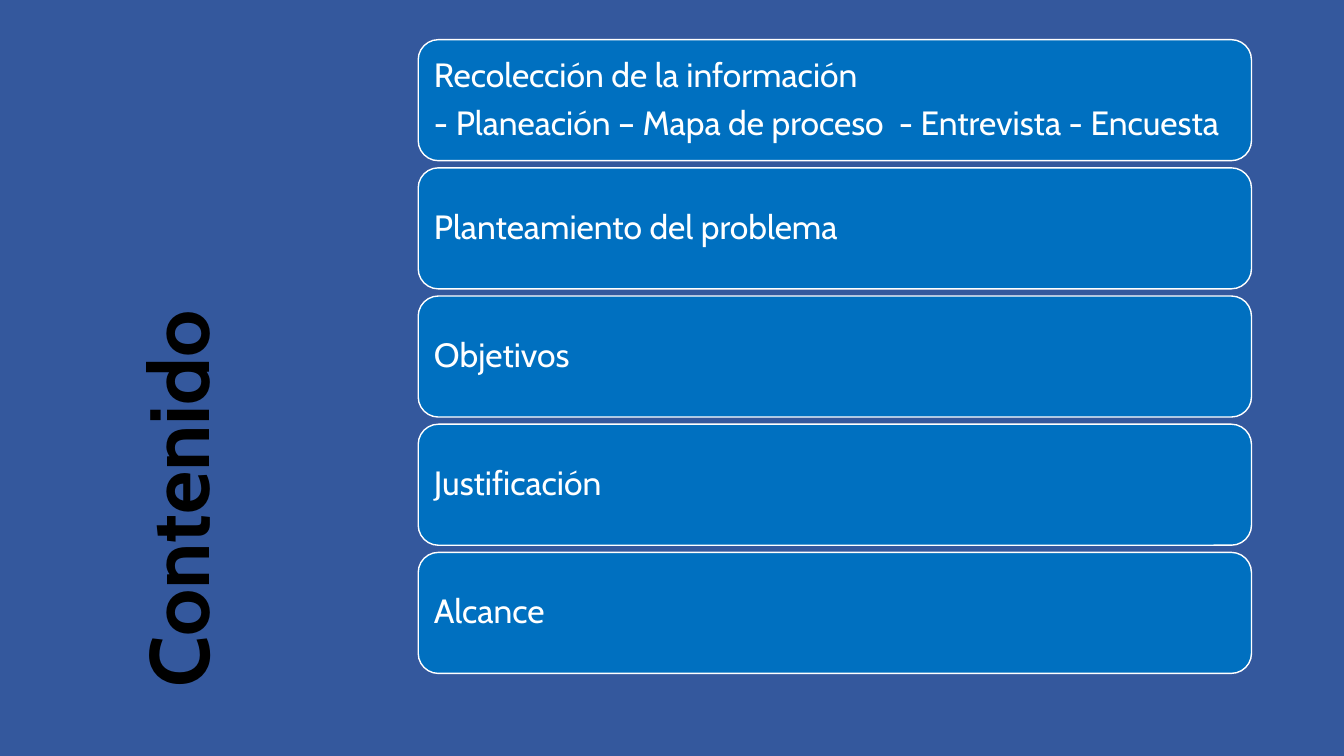
from dataclasses import dataclass

import pptx
import pptx.dml.color
import pptx.enum.shapes
import pptx.enum.text
import pptx.shapes.autoshape
import pptx.slide
import pptx.text.text
import pptx.util

Cm = pptx.util.Cm
Pt = pptx.util.Pt
RGBColor = pptx.dml.color.RGBColor


@dataclass(frozen=True)
class Theme:
    font: str = "Cabin"
    background: RGBColor = RGBColor(0x34, 0x58, 0x9D)
    card: RGBColor = RGBColor(0x00, 0x70, 0xC0)
    light: RGBColor = RGBColor(0xFF, 0xFF, 0xFF)
    title: RGBColor = RGBColor(0x00, 0x00, 0x00)
    title_size: int = 60
    topic_size: int = 24
    topic_gap: float = 8.4
    line_spacing: float = 0.9


@dataclass(frozen=True)
class Topic:
    lines: tuple[str, ...]


THEME = Theme()
TOPICS = (
    Topic((
        "Recolección de la información",
        "- Planeación – Mapa de proceso  - Entrevista - Encuesta",
    )),
    Topic(("Planteamiento del problema",)),
    Topic(("Objetivos",)),
    Topic(("Justificación",)),
    Topic(("Alcance",)),
)
CARD_LEFT, CARD_TOP = 10.54, 1.0
CARD_WIDTH, CARD_HEIGHT = 21.0, 3.05
CARD_PITCH = 3.23


def write_lines(
    frame: pptx.text.text.TextFrame,
    lines: tuple[str, ...],
    size: int,
    color: RGBColor,
    bold: bool = False,
    gap: float = 0,
) -> None:
    frame.word_wrap = True
    frame.vertical_anchor = pptx.enum.text.MSO_ANCHOR.MIDDLE
    frame.text = "\n".join(lines)
    for paragraph in frame.paragraphs:
        paragraph.alignment = pptx.enum.text.PP_ALIGN.LEFT
        paragraph.line_spacing = THEME.line_spacing
        paragraph.space_after = Pt(gap)
        paragraph.font.name = THEME.font
        paragraph.font.size = Pt(size)
        paragraph.font.bold = bold
        paragraph.font.color.rgb = color


def add_title(slide: pptx.slide.Slide, text: str) -> None:
    """Add the title, turned to read upwards along the left side."""
    box = slide.shapes.add_textbox(Cm(-3.68), Cm(5.41), Cm(16.56), Cm(7.75))
    box.rotation = 270
    write_lines(box.text_frame, (text,), THEME.title_size, THEME.title, bold=True)


def add_topic_card(slide: pptx.slide.Slide, topic: Topic, top: float) -> None:
    card = slide.shapes.add_shape(
        pptx.enum.shapes.MSO_SHAPE.ROUNDED_RECTANGLE,
        Cm(CARD_LEFT), Cm(top), Cm(CARD_WIDTH), Cm(CARD_HEIGHT),
    )
    card.shadow.inherit = False
    card.fill.solid()
    card.fill.fore_color.rgb = THEME.card
    card.line.color.rgb = THEME.light
    card.line.width = Pt(1)
    frame = card.text_frame
    frame.margin_left = frame.margin_right = Cm(0.25)
    frame.margin_top = frame.margin_bottom = Cm(0.25)
    write_lines(frame, topic.lines, THEME.topic_size, THEME.light, gap=THEME.topic_gap)


def main() -> None:
    deck = pptx.Presentation()
    deck.slide_width, deck.slide_height = Cm(33.87), Cm(19.05)
    slide = deck.slides.add_slide(deck.slide_layouts[6])
    slide.background.fill.solid()
    slide.background.fill.fore_color.rgb = THEME.background
    add_title(slide, "Contenido")
    for index, topic in enumerate(TOPICS):
        add_topic_card(slide, topic, CARD_TOP + index * CARD_PITCH)
    deck.save("out.pptx")


if __name__ == "__main__":
    main()
